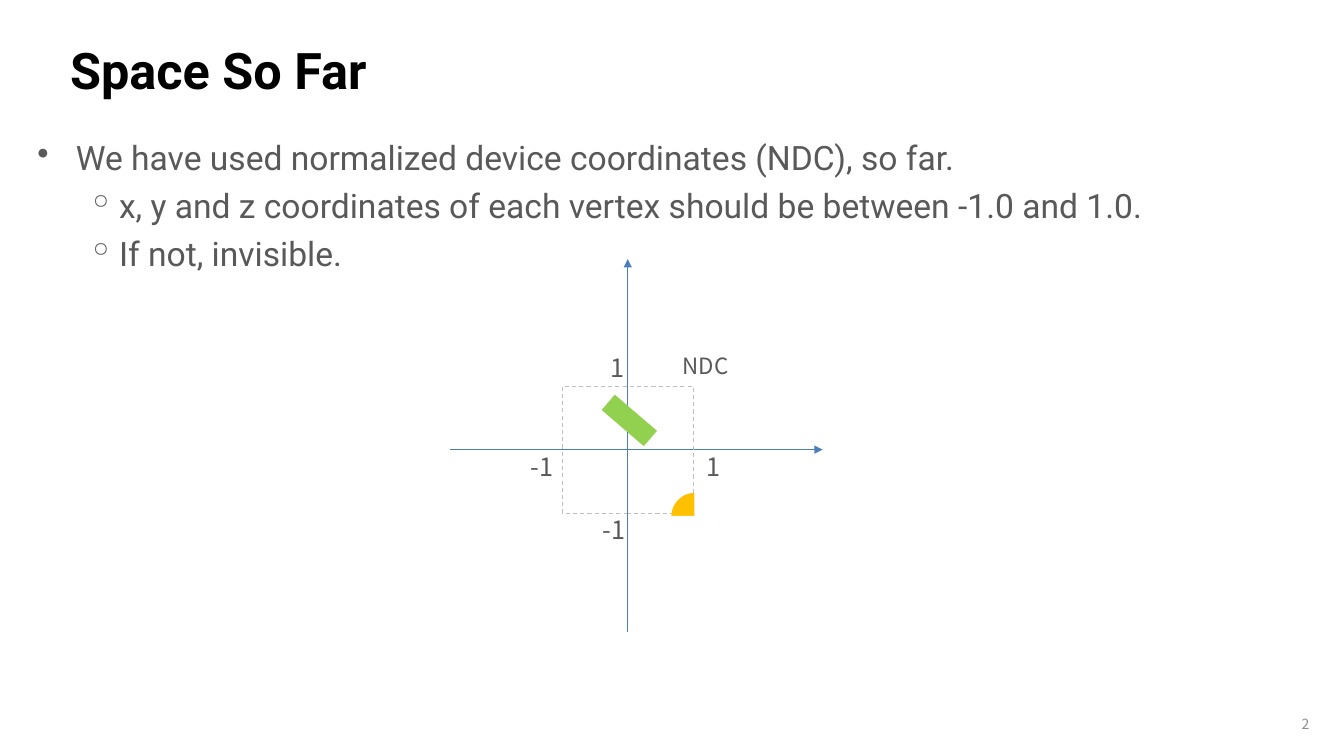
from dataclasses import dataclass

import pptx
import pptx.dml.color
import pptx.enum.dml
import pptx.enum.shapes
import pptx.enum.text
import pptx.oxml.ns
import pptx.util
from lxml import etree
from pptx.util import Cm

SHAPE = pptx.enum.shapes.MSO_SHAPE
ALIGN = pptx.enum.text.PP_ALIGN
ANCHOR = pptx.enum.text.MSO_ANCHOR


@dataclass(frozen=True)
class Theme:
    heading_font: str = "Roboto"
    label_font: str = "Noto Sans CJK KR"
    black: str = "000000"
    text: str = "595959"
    muted: str = "8C8C8C"
    axis: str = "4B7EBC"
    frame: str = "BFBFBF"
    bar: str = "92D050"
    disc: str = "FFC000"
    white: str = "FFFFFF"
    title_size: int = 36
    body_size: int = 24
    tick_size: int = 18
    caption_size: int = 16
    number_size: int = 10
    hairline: float = 0.75


THEME = Theme()

# Per level: bullet, left margin and hanging indent in centimetres
BULLETS = [("•", 0.97, 0.97), ("◦", 2.06, 0.79)]


def rgb(color):
    return pptx.dml.color.RGBColor.from_string(color)


def set_font(para, name, size, color, bold=False):
    para.font.name = name
    para.font.size = pptx.util.Pt(size)
    para.font.color.rgb = rgb(color)
    para.font.bold = bold


def set_line(line, color):
    line.color.rgb = rgb(color)
    line.width = pptx.util.Pt(THEME.hairline)


def add_box(page, left, top, width, height, anchor=ANCHOR.TOP, wrap=True):
    box = page.shapes.add_textbox(Cm(left), Cm(top), Cm(width), Cm(height))
    box.text_frame.word_wrap = wrap
    box.text_frame.vertical_anchor = anchor
    return box.text_frame


def add_title(page, text):
    para = add_box(page, 1.52, 0.74, 30.68, 2, ANCHOR.MIDDLE).paragraphs[0]
    para.text = text
    set_font(para, THEME.heading_font, THEME.title_size, THEME.black, bold=True)


def set_bullet(para, level):
    mark, margin, hang = BULLETS[level]
    para.level = level
    properties = para._p.get_or_add_pPr()
    properties.set("marL", str(Cm(margin)))
    properties.set("indent", str(-Cm(hang)))
    bullet = etree.SubElement(properties, pptx.oxml.ns.qn("a:buChar"))
    bullet.set("char", mark)


def add_bullets(page, items):
    frame = add_box(page, 0.69, 3.33, 31.95, 12.8)
    for index, (level, text) in enumerate(items):
        para = frame.add_paragraph() if index else frame.paragraphs[0]
        para.text = text
        set_bullet(para, level)
        if index:
            para.space_before = pptx.util.Pt(5.5)
        set_font(para, THEME.heading_font, THEME.body_size, THEME.text)


def add_page_number(page, number):
    para = add_box(page, 32.21, 17.73, 1.04, 1.02, ANCHOR.MIDDLE).paragraphs[0]
    para.text = number
    para.alignment = ALIGN.RIGHT
    set_font(para, THEME.label_font, THEME.number_size, THEME.muted)


def add_axis(page, start, end):
    """Draw a line with an arrowhead at its end."""
    axis = page.shapes.add_connector(
        pptx.enum.shapes.MSO_CONNECTOR.STRAIGHT, *map(Cm, start + end))
    set_line(axis.line, THEME.axis)
    head = etree.SubElement(axis.line._get_or_add_ln(), pptx.oxml.ns.qn("a:tailEnd"))
    head.set("type", "triangle")
    etree.SubElement(axis._element.spPr, pptx.oxml.ns.qn("a:effectLst"))


def add_figure(page, kind, left, top, width, height, fill=None, line=None, rotation=0):
    figure = page.shapes.add_shape(kind, Cm(left), Cm(top), Cm(width), Cm(height))
    figure.shadow.inherit = False
    figure.rotation = rotation
    if fill:
        figure.fill.solid()
        figure.fill.fore_color.rgb = rgb(fill)
    else:
        figure.fill.background()
    if line:
        set_line(figure.line, line)
    else:
        figure.line.fill.background()
    return figure


def add_quarter_disc(page, left, top, size):
    """Draw a disc and mask all but its upper left quarter."""
    add_figure(page, SHAPE.OVAL, left, top, size, size, fill=THEME.disc)
    add_figure(page, SHAPE.PIE, left, top, size, size,
               fill=THEME.white, line=THEME.white, rotation=270)


def add_tick(page, text, left, top):
    para = add_box(page, left, top, 1.4, 1.02).paragraphs[0]
    para.text = text
    set_font(para, THEME.label_font, THEME.tick_size, THEME.text)


def add_caption(page, text, left, top):
    para = add_box(page, left, top, 1.73, 0.94, wrap=False).paragraphs[0]
    para.text = text
    para.alignment = ALIGN.CENTER
    set_font(para, THEME.label_font, THEME.caption_size, THEME.text)


def add_ndc_diagram(page):
    origin_x, origin_y = 15.82, 11.33
    add_axis(page, (11.33, origin_y), (20.73, origin_y))
    square = add_figure(page, SHAPE.RECTANGLE, 14.17, 9.73, 3.3, 3.2, line=THEME.frame)
    square.line.dash_style = pptx.enum.dml.MSO_LINE.DASH
    add_axis(page, (origin_x, 15.93), (origin_x, 6.53))
    add_figure(page, SHAPE.RECTANGLE, 15.16, 10.34, 1.4, 0.51,
               fill=THEME.bar, rotation=40.6)
    add_quarter_disc(page, 16.92, 12.42, 1.19)
    for text, left, top in [("1", 17.55, 11.25), ("1", 15.14, 8.76),
                            ("-1", 13.13, 11.25), ("-1", 14.94, 12.83)]:
        add_tick(page, text, left, top)
    add_caption(page, "NDC", 16.92, 8.76)


def main():
    deck = pptx.Presentation()
    deck.slide_width, deck.slide_height = Cm(33.87), Cm(19.05)
    page = deck.slides.add_slide(deck.slide_layouts[6])
    add_title(page, "Space So Far")
    add_bullets(page, [
        (0, "We have used normalized device coordinates (NDC), so far."),
        (1, "x, y and z coordinates of each vertex should be between -1.0 and 1.0."),
        (1, "If not, invisible."),
    ])
    add_page_number(page, "2")
    add_ndc_diagram(page)
    deck.save("out.pptx")


if __name__ == "__main__":
    main()
